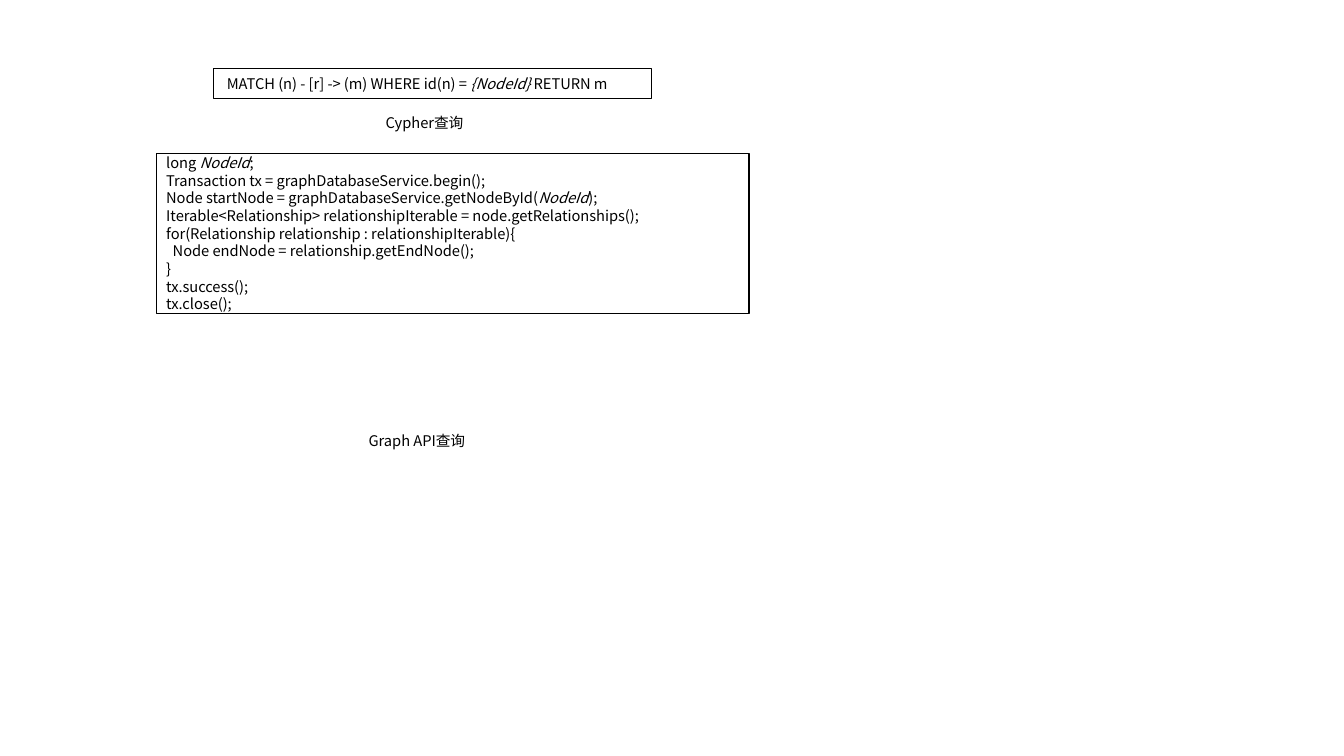
from dataclasses import dataclass

from lxml.etree import SubElement
from pptx import Presentation
from pptx.dml.color import RGBColor
from pptx.enum.shapes import MSO_SHAPE
from pptx.enum.text import MSO_ANCHOR, PP_ALIGN
from pptx.oxml.ns import qn
from pptx.shapes.autoshape import Shape
from pptx.slide import Slide
from pptx.util import Inches, Pt

COLORS = {"paper": "FFFFFF", "ink": "000000"}
FONT = "Noto Sans CJK SC"
ITALIC_MARK = "*"

CYPHER_QUERY = " MATCH (n) - [r] -> (m) WHERE id(n) = *{NodeId} *RETURN m"
GRAPH_API_CODE = """long *NodeId*;
Transaction tx = graphDatabaseService.begin();
Node startNode = graphDatabaseService.getNodeById(*NodeId*);
Iterable<Relationship> relationshipIterable = node.getRelationships();
for(Relationship relationship : relationshipIterable){
  Node endNode = relationship.getEndNode();
}
tx.success();
tx.close();"""


@dataclass(frozen=True)
class Box:
    text: str
    left: float
    top: float
    width: float
    height: float
    is_caption: bool = False


BOXES = (
    Box(CYPHER_QUERY, 2.12, 0.68, 4.34, 0.3),
    Box("Cypher查询", 3.7, 1.13, 1.02, 0.17, is_caption=True),
    Box(GRAPH_API_CODE, 1.55, 1.52, 5.88, 1.59),
    Box("Graph API查询", 3.55, 4.29, 1.17, 0.16, is_caption=True),
)


def color(name: str) -> RGBColor:
    return RGBColor.from_string(COLORS[name])


def write_text(
    shape: Shape,
    text: str,
    *,
    size: float = 10.5,
    line_height: float = 12.6,
    align: PP_ALIGN = PP_ALIGN.LEFT,
) -> None:
    frame = shape.text_frame
    frame.word_wrap = True
    frame.vertical_anchor = MSO_ANCHOR.MIDDLE
    for line_number, line in enumerate(text.split("\n")):
        paragraph = frame.add_paragraph() if line_number else frame.paragraphs[0]
        paragraph.alignment = align
        paragraph.line_spacing = Pt(line_height)
        for part_number, part in enumerate(line.split(ITALIC_MARK)):
            run = paragraph.add_run()
            run.text = part
            run.font.name = FONT
            run.font.size = Pt(size)
            run.font.italic = part_number % 2 == 1
            run.font.color.rgb = color("ink")
            properties = run._r.get_or_add_rPr()
            SubElement(properties, qn("a:ea")).set("typeface", FONT)


def draw_box(slide: Slide, box: Box) -> None:
    shape = slide.shapes.add_shape(
        MSO_SHAPE.FLOWCHART_PROCESS,
        Inches(box.left),
        Inches(box.top),
        Inches(box.width),
        Inches(box.height),
    )
    shape.shadow.inherit = False
    shape.fill.solid()
    shape.fill.fore_color.rgb = color("paper")
    if box.is_caption:
        shape.line.fill.background()
    else:
        shape.line.color.rgb = color("ink")
        shape.line.width = Pt(1)
    write_text(
        shape,
        box.text,
        align=PP_ALIGN.CENTER if box.is_caption else PP_ALIGN.LEFT,
    )


def main() -> None:
    presentation = Presentation()
    presentation.slide_width = Inches(13.33)
    presentation.slide_height = Inches(7.5)
    slide = presentation.slides.add_slide(presentation.slide_layouts[6])
    for box in BOXES:
        draw_box(slide, box)
    presentation.save("out.pptx")


if __name__ == "__main__":
    main()
